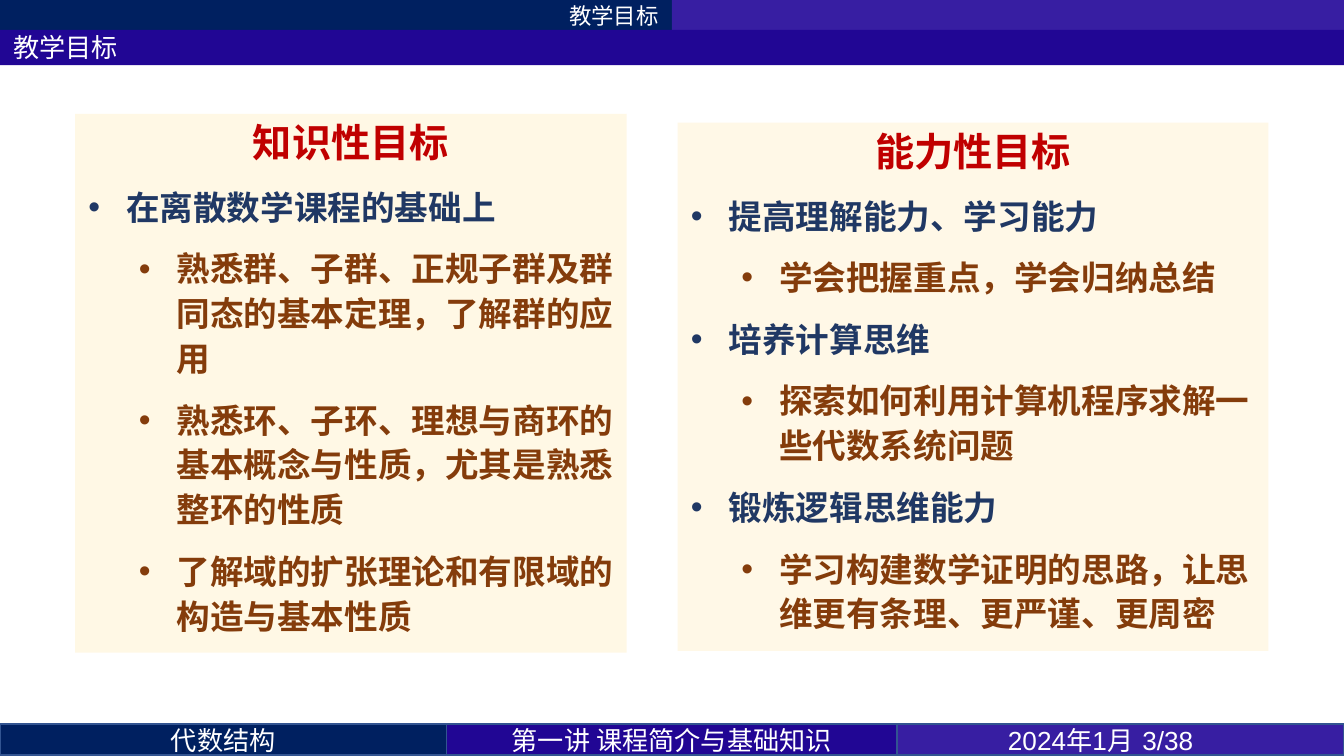
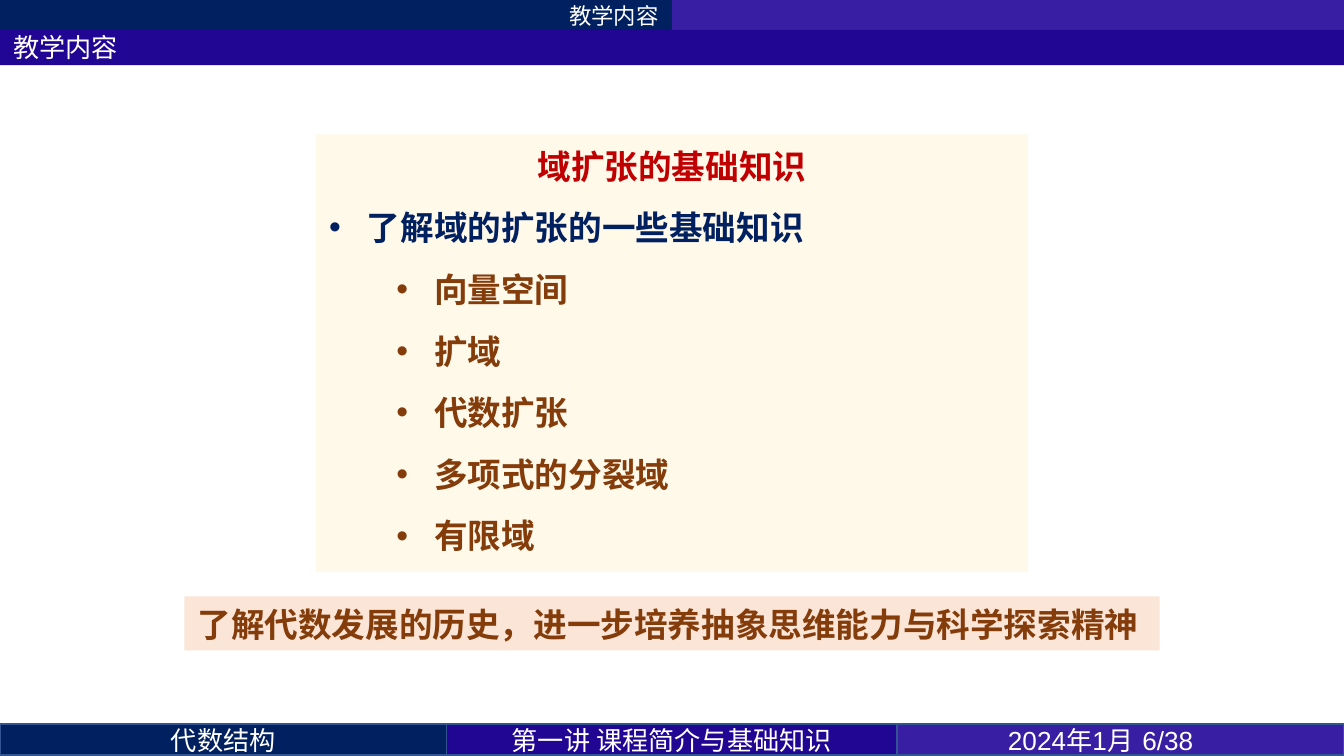
from lxml import etree
from pptx import Presentation
from pptx import util as u
from pptx.dml.color import RGBColor
from pptx.enum import shapes, text
from pptx.oxml import ns

Pt = u.Pt
ALIGN = text.PP_ALIGN

NAVY = RGBColor(0x00, 0x20, 0x60)
VIOLET = RGBColor(0x37, 0x1E, 0xA2)
INDIGO = RGBColor(0x21, 0x06, 0x94)
EDGE = RGBColor(0x32, 0x54, 0x91)
WHITE = RGBColor(0xFF, 0xFF, 0xFF)
CREAM = RGBColor(0xFF, 0xF2, 0xCC)
PEACH = RGBColor(0xFB, 0xE5, 0xD6)
RED = RGBColor(0xC0, 0x00, 0x00)
SLATE = RGBColor(0x20, 0x38, 0x64)
BROWN = RGBColor(0x84, 0x3C, 0x0B)

SANS, LATIN, DIGITS = "Noto Sans CJK SC", "Calibri", "Arial"
WIDTH, HEIGHT = 720, 405
STRIP_H = 16.5
HANG = 20.25

COURSE = "代数结构"
LECTURE = "第一讲 课程简介与基础知识"
DATE = "2024年1月"
PAGES = 38


def add_band(slide, box, fill, opacity=None, edge=None):
    """Filled rectangle; box is left, top, width, height in points."""
    band = slide.shapes.add_shape(shapes.MSO_SHAPE.RECTANGLE, *map(Pt, box))
    band.shadow.inherit = False
    band.fill.solid()
    band.fill.fore_color.rgb = fill
    if opacity is not None:
        color = band.fill._xPr.find(".//" + ns.qn("a:srgbClr"))
        etree.SubElement(color, ns.qn("a:alpha"), val=str(opacity * 1000))
    if edge is None:
        band.line.fill.background()
    else:
        band.line.color.rgb = edge
        band.line.width = Pt(1)
    return band


def style(paragraph, size, font, color, bold=False, align=ALIGN.LEFT):
    paragraph.alignment = align
    paragraph.font.size = Pt(size)
    paragraph.font.name = font
    paragraph.font.color.rgb = color
    paragraph.font.bold = bold


def label(band, words, size, font, align):
    band.text_frame.text = words
    style(band.text_frame.paragraphs[0], size, font, WHITE, align=align)


def start_growing_text(band):
    frame = band.text_frame
    frame.word_wrap = True
    frame.vertical_anchor = text.MSO_ANCHOR.TOP
    frame.auto_size = text.MSO_AUTO_SIZE.SHAPE_TO_FIT_TEXT
    return frame


def add_bullet(paragraph, indent):
    props = paragraph._p.get_or_add_pPr()
    props.set("marL", str(Pt(indent)))
    props.set("indent", str(-Pt(HANG)))
    etree.SubElement(props, ns.qn("a:buFont"), typeface=DIGITS)
    etree.SubElement(props, ns.qn("a:buChar"), char="•")


def add_header(slide, topic):
    half = WIDTH / 2
    section = add_band(slide, (0, 0, half, STRIP_H), NAVY)
    label(section, topic, 12, SANS, ALIGN.RIGHT)
    add_band(slide, (half, 0, half, STRIP_H), VIOLET)
    title = add_band(slide, (0, 16, WIDTH, 19), INDIGO)
    label(title, topic, 14, LATIN, ALIGN.LEFT)


def add_footer(slide, page):
    cells = [(COURSE, NAVY, SANS, 239.25),
             (LECTURE, INDIGO, SANS, 241.5),
             (f"{DATE}\t{page}/{PAGES}", VIOLET, DIGITS, 239.25)]
    left = 0
    for words, fill, font, width in cells:
        cell = add_band(slide, (left, HEIGHT - STRIP_H - 0.5, width, STRIP_H),
                        fill, edge=EDGE)
        align = ALIGN.CENTER
        if "\t" in words:
            # Date and page number sit at fixed distances from the cell edge
            align = ALIGN.LEFT
            cell.text_frame.margin_left = Pt(59.25)
            props = cell.text_frame.paragraphs[0]._p.get_or_add_pPr()
            stops = etree.SubElement(props, ns.qn("a:tabLst"))
            etree.SubElement(stops, ns.qn("a:tab"), pos=str(Pt(93)), algn="l")
        label(cell, words, 14, font, align)
        left += width


def add_card(slide, box, opacity, heading, points, heading_size=21,
             point_color=SLATE, detail_indent=47.25):
    """Cream card: centred heading, then (point, details) bullets."""
    frame = start_growing_text(add_band(slide, box, CREAM, opacity))

    def space(paragraph, before=4.5):
        paragraph.line_spacing = Pt(24)
        paragraph.space_before = Pt(before)
        paragraph.space_after = Pt(4.5)

    def add_item(words, level, indent, font, color):
        item = frame.add_paragraph()
        item.text = words
        item.level = level
        space(item)
        add_bullet(item, indent)
        style(item, 18, font, color, bold=True)

    title = frame.paragraphs[0]
    title.text = heading
    space(title, before=0)
    style(title, heading_size, LATIN, RED, bold=True, align=ALIGN.CENTER)
    for point, details in points:
        add_item(point, 0, HANG, LATIN, point_color)
        for detail in details:
            add_item(detail, 1, detail_indent, SANS, BROWN)


def add_summary(slide, box, words):
    frame = start_growing_text(add_band(slide, box, PEACH))
    frame.text = words
    summary = frame.paragraphs[0]
    summary.line_spacing = Pt(22)
    summary.space_after = Pt(6)
    style(summary, 18, SANS, BROWN, bold=True)


def add_frame_slide(prs, topic, page):
    slide = prs.slides.add_slide(prs.slide_layouts[6])
    add_header(slide, topic)
    add_footer(slide, page)
    return slide


def build_goals(prs):
    slide = add_frame_slide(prs, "教学目标", 3)
    # Knowledge goals
    add_card(slide, (40.25, 61, 295.5, 288.75), 50, "知识性目标", [
        ("在离散数学课程的基础上", [
            "熟悉群、子群、正规子群及群同态的基本定理，了解群的应用",
            "熟悉环、子环、理想与商环的基本概念与性质，尤其是熟悉整环的性质",
            "了解域的扩张理论和有限域的构造与基本性质"]),
    ])
    # Ability goals
    add_card(slide, (363, 65.75, 316.5, 283), 47, "能力性目标", [
        ("提高理解能力、学习能力", ["学会把握重点，学会归纳总结"]),
        ("培养计算思维", ["探索如何利用计算机程序求解一些代数系统问题"]),
        ("锻炼逻辑思维能力",
         ["学习构建数学证明的思路，让思维更有条理、更严谨、更周密"]),
    ])


def build_contents(prs):
    slide = add_frame_slide(prs, "教学内容", 6)
    add_card(slide, (169.25, 72, 381.5, 234.5), 40, "域扩张的基础知识", [
        ("了解域的扩张的一些基础知识",
         ["向量空间", "扩域", "代数扩张", "多项式的分裂域", "有限域"]),
    ], heading_size=18, point_color=NAVY, detail_indent=56.25)
    add_summary(slide, (98.75, 319.5, 522.5, 29),
                "了解代数发展的历史，进一步培养抽象思维能力与科学探索精神")


def main():
    prs = Presentation()
    prs.slide_width, prs.slide_height = Pt(WIDTH), Pt(HEIGHT)
    build_goals(prs)
    build_contents(prs)
    prs.save("out.pptx")


if __name__ == "__main__":
    main()
